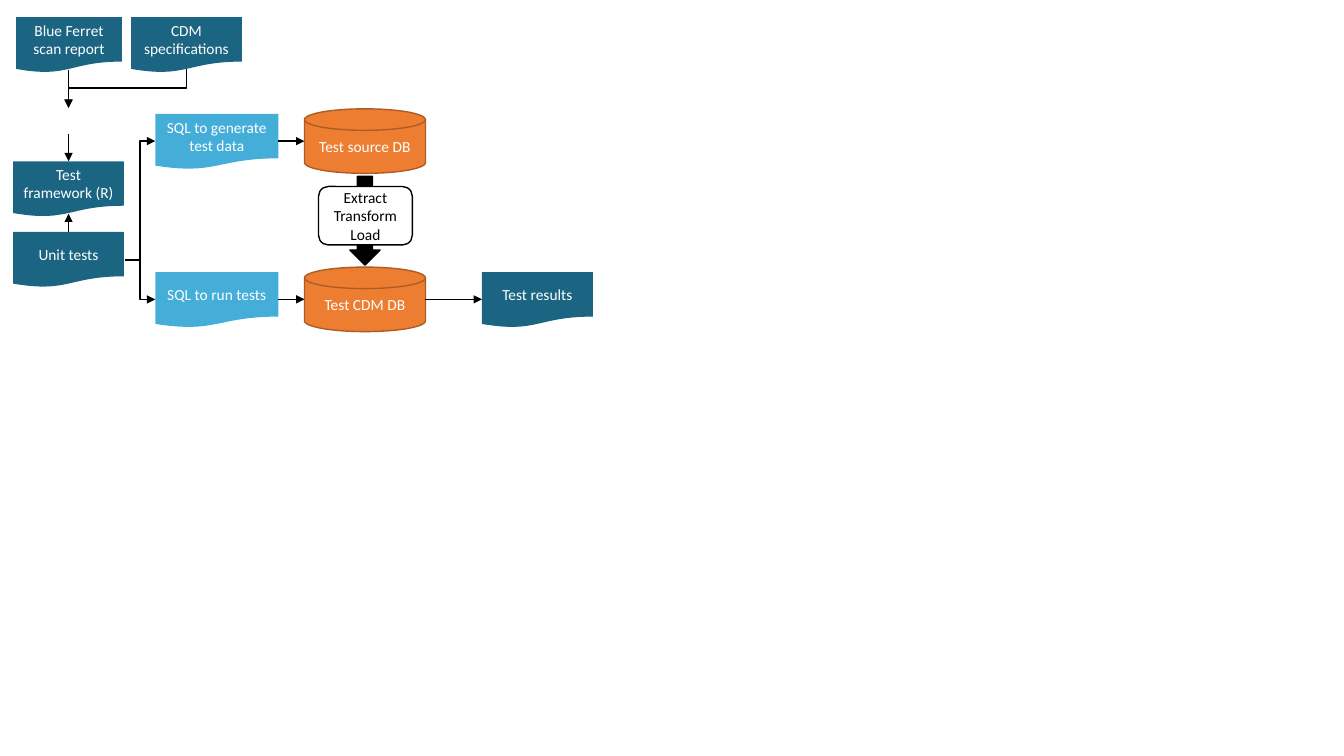
from dataclasses import dataclass

from lxml.etree import SubElement
from pptx import Presentation
from pptx.dml.color import RGBColor
from pptx.enum.shapes import MSO_CONNECTOR, MSO_SHAPE
from pptx.enum.text import MSO_ANCHOR, PP_ALIGN
from pptx.oxml.ns import qn
from pptx.util import Emu, Pt

PX = 9144  # EMU per px, 100 px to the inch


@dataclass(frozen=True)
class Theme:
    font: str = "Calibri"
    text_size: int = 11
    line_width: int = 1
    teal: str = "1B6583"
    sky: str = "44AED8"
    orange: str = "ED7D31"
    rust: str = "AF5C24"
    white: str = "FFFFFF"
    black: str = "000000"


THEME = Theme()


@dataclass(frozen=True)
class Style:
    kind: MSO_SHAPE
    fill: str
    line: str | None = None
    text: str = THEME.white


DOCUMENT = Style(MSO_SHAPE.FLOWCHART_DOCUMENT, THEME.teal)
SQL = Style(MSO_SHAPE.FLOWCHART_DOCUMENT, THEME.sky)
DATABASE = Style(MSO_SHAPE.FLOWCHART_MAGNETIC_DISK, THEME.orange, THEME.rust)
ARROW = Style(MSO_SHAPE.DOWN_ARROW, THEME.black, THEME.black)
PROCESS = Style(MSO_SHAPE.ROUNDED_RECTANGLE, THEME.white, THEME.black, THEME.black)


@dataclass(frozen=True)
class Node:
    style: Style
    left: int
    top: int
    width: int
    height: int
    lines: tuple[str, ...] = ()


@dataclass(frozen=True)
class Link:
    x1: int
    y1: int
    x2: int
    y2: int
    leaves_down: bool = False


# Rows and columns shared by the nodes and links
SOURCE_Y, RESULT_Y = 140, 297
TRUNK_X, SQL_X, DB_X, RESULT_X = 68, 154, 302, 478
DOC_W, DOC_H, SQL_W, DB_W, DB_H = 110, 55, 122, 120, 64

NODES = [
    Node(DOCUMENT, 16, 17, 105, DOC_H, ("Blue Ferret", "scan report")),
    Node(DOCUMENT, 130, 17, DOC_W, DOC_H, ("CDM specifications",)),
    Node(DOCUMENT, 13, 160, DOC_W, DOC_H, ("Test framework (R)",)),
    Node(DOCUMENT, 13, 230, DOC_W, DOC_H, ("Unit tests",)),
    Node(SQL, SQL_X, SOURCE_Y - 27, SQL_W, DOC_H, ("SQL to generate test data",)),
    Node(SQL, SQL_X, RESULT_Y - 27, SQL_W, DOC_H, ("SQL to run tests",)),
    Node(DATABASE, DB_X, SOURCE_Y - 32, DB_W, DB_H, ("Test source DB",)),
    Node(DATABASE, DB_X, RESULT_Y - 32, DB_W, DB_H, ("Test CDM DB",)),
    Node(ARROW, 347, 175, 30, 88),
    Node(DOCUMENT, RESULT_X, RESULT_Y - 27, DOC_W, DOC_H, ("Test results",)),
    Node(PROCESS, 316, 185, 93, 58, ("Extract", "Transform", "Load")),
]

LINKS = [
    Link(TRUNK_X, 69, TRUNK_X, 107),
    Link(185, 68, TRUNK_X, 107, leaves_down=True),
    Link(TRUNK_X, 133, TRUNK_X, 160),
    Link(TRUNK_X, 230, TRUNK_X, 212),
    *(Link(124, 258, SQL_X, y) for y in (SOURCE_Y, RESULT_Y)),
    *(Link(SQL_X + SQL_W, y, DB_X, y) for y in (SOURCE_Y, RESULT_Y)),
    Link(DB_X + DB_W, RESULT_Y, RESULT_X, RESULT_Y),
]


def px(value: float) -> Emu:
    return Emu(round(value * PX))


def rgb(value: str) -> RGBColor:
    return RGBColor.from_string(value)


def add_node(slide, node: Node) -> None:
    style = node.style
    sp = slide.shapes.add_shape(
        style.kind, px(node.left), px(node.top), px(node.width), px(node.height)
    )
    sp.shadow.inherit = False
    sp.fill.solid()
    sp.fill.fore_color.rgb = rgb(style.fill)
    if style.line:
        sp.line.color.rgb = rgb(style.line)
        sp.line.width = Pt(THEME.line_width)
    else:
        sp.line.fill.background()

    tf = sp.text_frame
    tf.word_wrap = True
    tf.vertical_anchor = MSO_ANCHOR.MIDDLE
    for i, line in enumerate(node.lines):
        p = tf.add_paragraph() if i else tf.paragraphs[0]
        p.alignment = PP_ALIGN.CENTER
        r = p.add_run()
        r.text = line
        r.font.name = THEME.font
        r.font.size = Pt(THEME.text_size)
        r.font.color.rgb = rgb(style.text)


def add_link(slide, link: Link) -> None:
    x1, y1, x2, y2 = link.x1, link.y1, link.x2, link.y2
    straight = x1 == x2 or y1 == y2
    if link.leaves_down:
        # Frame before a quarter turn about its centre
        cx, cy = (x1 + x2) / 2, (y1 + y2) / 2
        half_w, half_h = abs(y2 - y1) / 2, abs(x2 - x1) / 2
        x1, y1, x2, y2 = cx - half_w, cy - half_h, cx + half_w, cy + half_h
    kind = MSO_CONNECTOR.STRAIGHT if straight else MSO_CONNECTOR.ELBOW
    cxn = slide.shapes.add_connector(kind, px(x1), px(y1), px(x2), px(y2))
    cxn.line.color.rgb = rgb(THEME.black)
    cxn.line.width = Pt(THEME.line_width)
    sp_pr = cxn._element.spPr
    if link.leaves_down:
        sp_pr.find(qn("a:xfrm")).set("rot", "5400000")
    SubElement(sp_pr.find(qn("a:ln")), qn("a:tailEnd"), type="triangle")
    SubElement(sp_pr, qn("a:effectLst"))


def main() -> None:
    prs = Presentation()
    prs.slide_width, prs.slide_height = px(1333), px(750)
    slide = prs.slides.add_slide(prs.slide_layouts[6])
    for node in NODES:
        add_node(slide, node)
    for link in LINKS:
        add_link(slide, link)
    prs.save("out.pptx")


if __name__ == "__main__":
    main()
